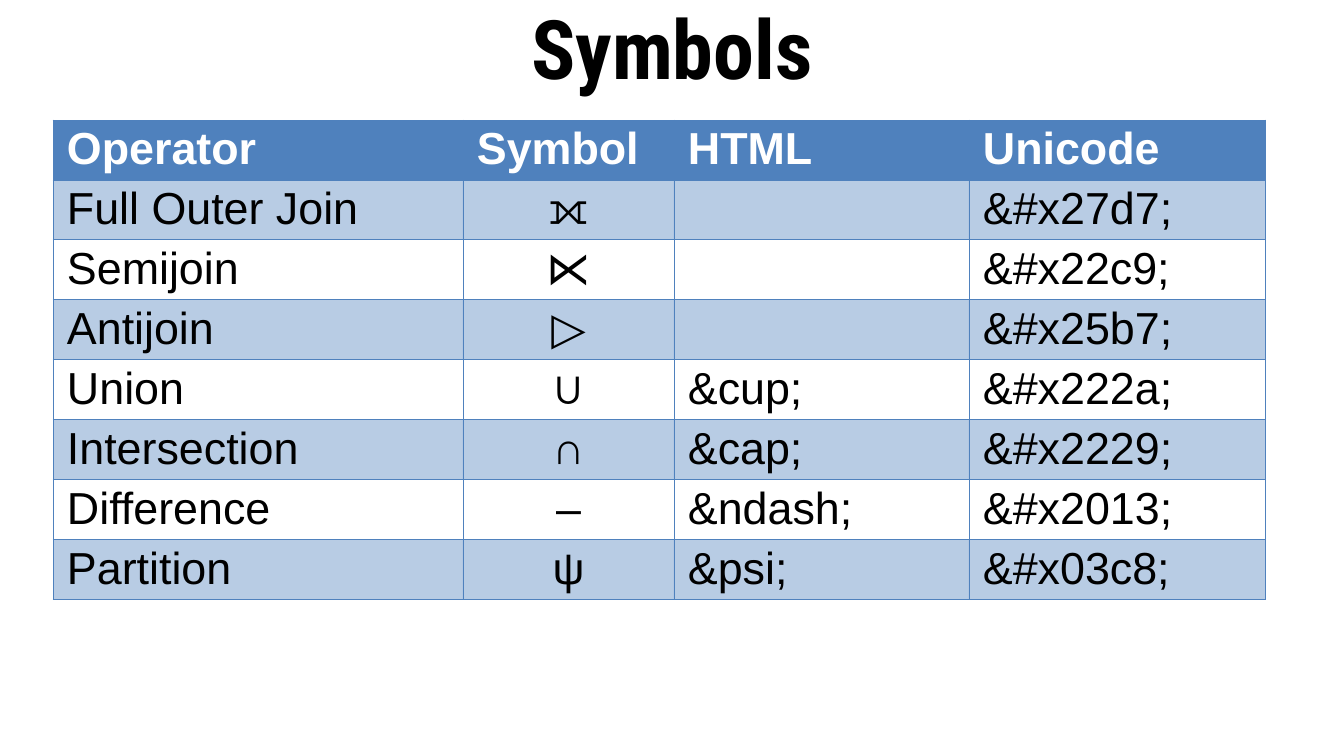
from lxml import etree
from pptx import Presentation
from pptx import util as u
from pptx.dml.color import RGBColor
from pptx.enum import text
from pptx.oxml.ns import qn

SCALE = u.Inches(10) / 1344
BLACK = RGBColor(0x00, 0x00, 0x00)
WHITE = RGBColor(0xFF, 0xFF, 0xFF)
BLUE = RGBColor(0x4F, 0x81, 0xBD)
BAND_ALPHA = 40
LEFT, TOP, ROW = 53, 120, 60
COLS = [410, 211, 295, 296]
SYMBOL_COL = 1

ROWS = [
    ("Operator", "Symbol", "HTML", "Unicode"),
    ("Full Outer Join", "⟗", "", "&#x27d7;"),
    ("Semijoin", "⋉", "", "&#x22c9;"),
    ("Antijoin", "▷", "", "&#x25b7;"),
    ("Union", "∪", "&cup;", "&#x222a;"),
    ("Intersection", "∩", "&cap;", "&#x2229;"),
    ("Difference", "–", "&ndash;", "&#x2013;"),
    ("Partition", "ψ", "&psi;", "&#x03c8;"),
]


def px(n):
    return u.Emu(round(n * SCALE))


def write(frame, words, size=24, face="Arial", color=BLACK, bold=False, center=False):
    para = frame.paragraphs[0]
    para.alignment = text.PP_ALIGN.CENTER if center else text.PP_ALIGN.LEFT
    run = para.add_run()
    run.text = words
    font = run.font
    font.size, font.name, font.bold = u.Pt(size), face, bold
    font.color.rgb = color


def add_title(slide, words):
    box = slide.shapes.add_textbox(0, 0, px(1344), px(93))
    frame = box.text_frame
    frame.word_wrap = True
    frame.vertical_anchor = text.MSO_ANCHOR.MIDDLE
    write(frame, words, size=44, face="Roboto Condensed", bold=True, center=True)


def paint(cell, row):
    """Fill the header solid and every other body row with a pale band."""
    if row and row % 2 == 0:
        cell.fill.background()
        return
    cell.fill.solid()
    cell.fill.fore_color.rgb = BLUE
    if row:
        color = cell._tc.tcPr.find(".//" + qn("a:srgbClr"))
        etree.SubElement(color, qn("a:alpha"), val=str(BAND_ALPHA * 1000))


def edge(cell):
    """Draw a thin blue border on all four sides."""
    props = cell._tc.get_or_add_tcPr()
    for spot, side in enumerate(("lnL", "lnR", "lnT", "lnB")):
        line = etree.Element(qn("a:" + side), w=str(u.Pt(0.5)))
        fill = etree.SubElement(line, qn("a:solidFill"))
        etree.SubElement(fill, qn("a:srgbClr"), val=str(BLUE))
        props.insert(spot, line)


def add_grid(slide, rows):
    shape = slide.shapes.add_table(
        len(rows), len(COLS), px(LEFT), px(TOP), px(sum(COLS)), px(ROW * len(rows)))
    table = shape.table
    for col, width in zip(table.columns, COLS):
        col.width = px(width)
    for r, words in enumerate(rows):
        table.rows[r].height = px(ROW)
        for c, word in enumerate(words):
            cell = table.cell(r, c)
            cell.margin_left = cell.margin_right = px(14)
            cell.margin_top, cell.margin_bottom = px(4), px(2)
            paint(cell, r)
            edge(cell)
            if word:
                head = r == 0
                write(cell.text_frame, word, color=WHITE if head else BLACK,
                      bold=head, center=c == SYMBOL_COL and not head)


def main():
    deck = Presentation()
    deck.slide_width, deck.slide_height = px(1344), px(756)
    slide = deck.slides.add_slide(deck.slide_layouts[6])
    add_title(slide, "Symbols")
    add_grid(slide, ROWS)
    deck.save("out.pptx")


if __name__ == "__main__":
    main()
